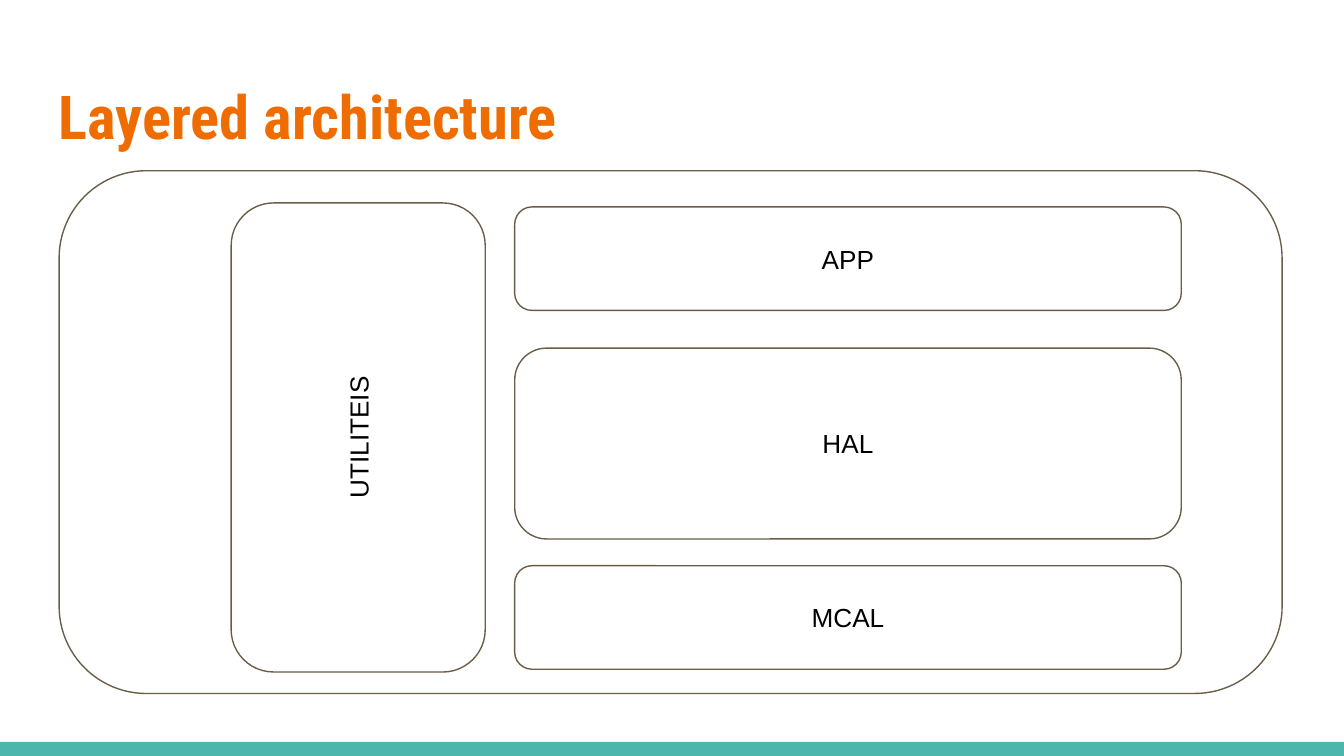
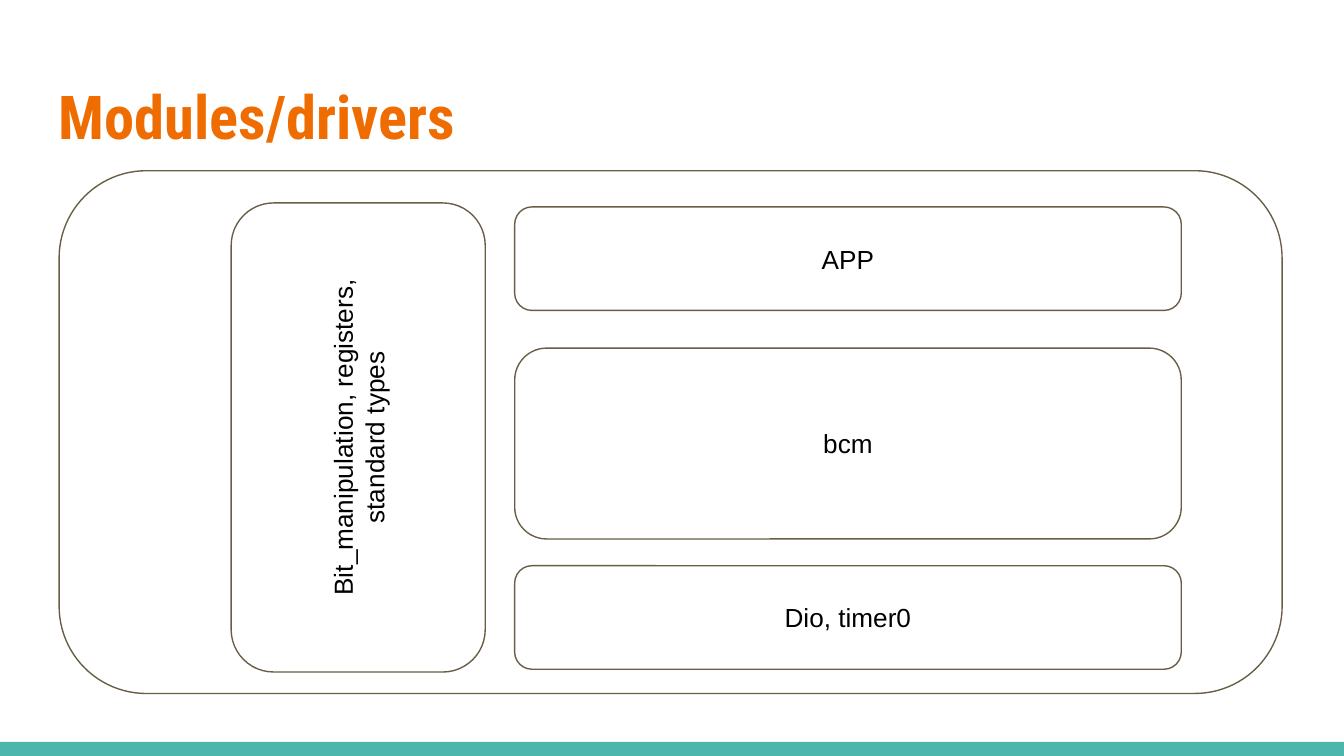
from dataclasses import dataclass

from pptx import Presentation
from pptx import util as u
from pptx.dml.color import RGBColor
from pptx.enum import shapes, text

EMU_PER_PX = 4572


@dataclass(frozen=True)
class Theme:
    paper: str = "FFFFFF"
    band: str = "4DB6AC"
    heading: str = "EF6C00"
    outline: str = "695D46"
    ink: str = "000000"
    heading_font: str = "Roboto Condensed"
    body_font: str = "Arial"
    heading_size: float = 32.4
    body_size: float = 14
    outline_width: float = 0.75
    corner: float = 0.167
    inset: int = 20


@dataclass(frozen=True)
class Box:
    left: int
    top: int
    width: int
    height: int
    rotation: int = 0


@dataclass(frozen=True)
class Diagram:
    title: str
    mcal: str
    hal: str
    app: str
    utilities: str


THEME = Theme()
PAGE = Box(0, 0, 2000, 1125)
BAND = Box(0, 1104, PAGE.width, 21)
HEADING = Box(68, 98, 1864, 154)
FRAME = Box(88, 254, 1820, 778)
LAYER_LEFT, LAYER_WIDTH = 766, 992
MCAL = Box(LAYER_LEFT, 842, LAYER_WIDTH, 154)
HAL = Box(LAYER_LEFT, 518, LAYER_WIDTH, 284)
APP = Box(LAYER_LEFT, 308, LAYER_WIDTH, 154)
UTILITIES = Box(184, 462, 698, 378, rotation=270)

DIAGRAMS = (
    Diagram("Layered architecture", "MCAL", "HAL", "APP", "UTILITEIS"),
    Diagram("Modules/drivers", "Dio, timer0", "bcm", "APP",
            "Bit_manipulation, registers, standard types"),
)


def px(length: int) -> u.Emu:
    return u.Emu(length * EMU_PER_PX)


def place(box: Box) -> tuple[u.Emu, ...]:
    return px(box.left), px(box.top), px(box.width), px(box.height)


def write(frame, words: str, font_name: str, size: float, color: str,
          bold: bool = False, align=text.PP_ALIGN.LEFT,
          anchor=text.MSO_ANCHOR.TOP) -> None:
    frame.text = words
    frame.word_wrap = True
    frame.vertical_anchor = anchor
    frame.margin_left = frame.margin_right = px(THEME.inset)
    frame.margin_top = frame.margin_bottom = px(THEME.inset)
    for paragraph in frame.paragraphs:
        paragraph.alignment = align
        for run in paragraph.runs:
            run.font.name = font_name
            run.font.size = u.Pt(size)
            run.font.bold = bold
            run.font.color.rgb = RGBColor.from_string(color)


def draw_band(slide) -> None:
    band = slide.shapes.add_shape(shapes.MSO_SHAPE.RECTANGLE, *place(BAND))
    band.shadow.inherit = False
    band.fill.solid()
    band.fill.fore_color.rgb = RGBColor.from_string(THEME.band)
    band.line.fill.background()


def draw_heading(slide, words: str) -> None:
    heading = slide.shapes.add_textbox(*place(HEADING))
    write(heading.text_frame, words, THEME.heading_font, THEME.heading_size,
          THEME.heading, bold=True)


def draw_block(slide, box: Box, label: str = "") -> None:
    block = slide.shapes.add_shape(shapes.MSO_SHAPE.ROUNDED_RECTANGLE, *place(box))
    block.adjustments[0] = THEME.corner
    block.rotation = box.rotation
    block.shadow.inherit = False
    block.fill.solid()
    block.fill.fore_color.rgb = RGBColor.from_string(THEME.paper)
    block.line.color.rgb = RGBColor.from_string(THEME.outline)
    block.line.width = u.Pt(THEME.outline_width)
    if label:
        write(block.text_frame, label, THEME.body_font, THEME.body_size, THEME.ink,
              align=text.PP_ALIGN.CENTER, anchor=text.MSO_ANCHOR.MIDDLE)


def draw_diagram(slide, diagram: Diagram) -> None:
    slide.background.fill.solid()
    slide.background.fill.fore_color.rgb = RGBColor.from_string(THEME.paper)
    draw_band(slide)
    draw_heading(slide, diagram.title)
    draw_block(slide, FRAME)
    draw_block(slide, MCAL, diagram.mcal)
    draw_block(slide, HAL, diagram.hal)
    draw_block(slide, APP, diagram.app)
    draw_block(slide, UTILITIES, diagram.utilities)


def main() -> None:
    deck = Presentation()
    deck.slide_width, deck.slide_height = px(PAGE.width), px(PAGE.height)
    blank = deck.slide_layouts[6]
    for diagram in DIAGRAMS:
        draw_diagram(deck.slides.add_slide(blank), diagram)
    deck.save("out.pptx")


if __name__ == "__main__":
    main()
